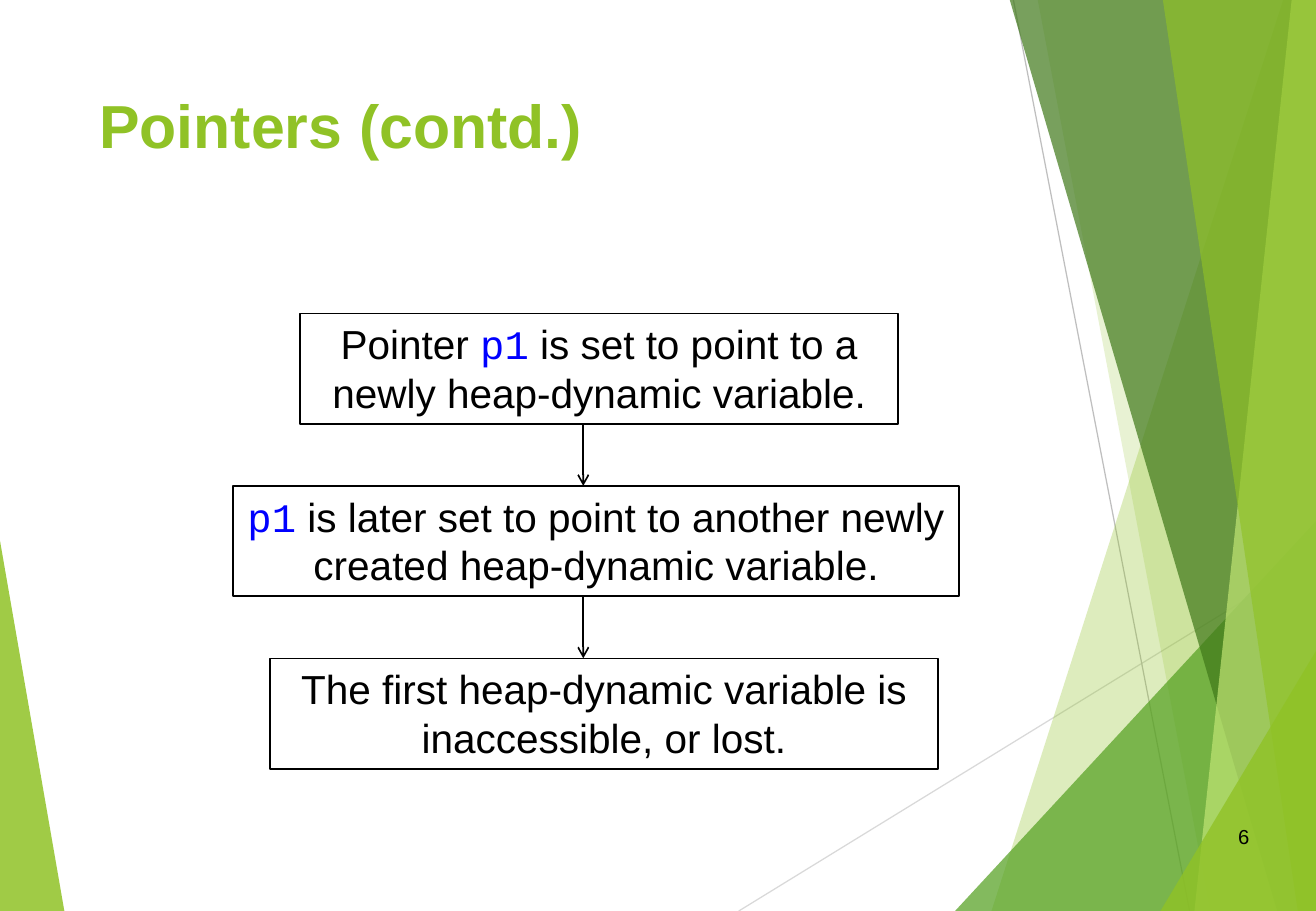
from lxml import etree
from pptx import Presentation
from pptx.dml.color import RGBColor
from pptx.enum.shapes import MSO_CONNECTOR, MSO_SHAPE
from pptx.enum.text import MSO_ANCHOR, MSO_AUTO_SIZE, PP_ALIGN
from pptx.oxml.ns import qn
from pptx.util import Inches, Pt

STRAIGHT = MSO_CONNECTOR.STRAIGHT
RECTANGLE = MSO_SHAPE.RECTANGLE
TOP, MIDDLE = MSO_ANCHOR.TOP, MSO_ANCHOR.MIDDLE
GROW = MSO_AUTO_SIZE.SHAPE_TO_FIT_TEXT
LEFT, CENTER, RIGHT = PP_ALIGN.LEFT, PP_ALIGN.CENTER, PP_ALIGN.RIGHT

LIME = RGBColor(0x90, 0xC2, 0x26)
GREEN = RGBColor(0x54, 0xA0, 0x21)
FOREST = RGBColor(0x3F, 0x78, 0x19)
PALE_LIME = RGBColor(0xC0, 0xE4, 0x74)
GREY = RGBColor(0xBF, 0xBF, 0xBF)
LIGHT_GREY = RGBColor(0xD9, 0xD9, 0xD9)
BLACK = RGBColor(0, 0, 0)
BLUE = RGBColor(0, 0, 0xFF)

WIDTH, HEIGHT = 10.83, 7.5
BODY_FONT, CODE_FONT = "Arial", "Courier New"

TITLE = "Pointers (contd.)"
PAGE_NUMBER = "6"
CODE_WORD = "p1"

# Left, width, text runs
STEPS = [
    (2.47, 4.92, ["Pointer ", CODE_WORD,
                  " is set to point to a newly heap-dynamic variable."]),
    (1.92, 5.97, [CODE_WORD,
                  " is later set to point to another newly created heap-dynamic variable."]),
    (2.22, 5.5, ["The first heap-dynamic variable is inaccessible, or lost."]),
]
STEP_TOP, STEP_HEIGHT, STEP_PITCH = 2.58, 0.91, 1.42
ARROW_X = 4.8

RAYS = [
    ((6.08, HEIGHT), (WIDTH, 4.58), LIGHT_GREY),
    ((8.34, 0), (9.79, HEIGHT), GREY),
]

# Colour, opacity in percent, corners
FACETS = [
    (LIME, 85, [(0, 4.45), (0.53, HEIGHT), (0, HEIGHT)]),
    (LIME, 30, [(10.56, 0), (8.16, HEIGHT), (WIDTH, HEIGHT), (WIDTH, 0)]),
    (LIME, 20, [(8.54, 0), (9.96, HEIGHT), (WIDTH, HEIGHT), (WIDTH, 0)]),
    (GREEN, 72, [(7.86, HEIGHT), (WIDTH, 4.29), (WIDTH, HEIGHT)]),
    (FOREST, 70, [(8.31, 0), (10.51, HEIGHT), (WIDTH, HEIGHT), (WIDTH, 0)]),
    (PALE_LIME, 70, [(10.63, 0), (9.83, HEIGHT), (WIDTH, HEIGHT), (WIDTH, 0)]),
    (LIME, 65, [(9.57, 0), (10.68, HEIGHT), (WIDTH, HEIGHT), (WIDTH, 0)]),
    (LIME, 80, [(9.55, HEIGHT), (WIDTH, 5.36), (WIDTH, HEIGHT)]),
]


def add_facet(page, color, opacity, corners):
    points = [(Inches(x), Inches(y)) for x, y in corners]
    builder = page.shapes.build_freeform(*points[0])
    builder.add_line_segments(points[1:], close=True)
    facet = builder.convert_to_shape()
    facet.shadow.inherit = False
    facet.line.fill.background()
    facet.fill.solid()
    facet.fill.fore_color.rgb = color
    tint = facet.fill._xPr.find(".//" + qn("a:srgbClr"))
    etree.SubElement(tint, qn("a:alpha"), val=str(opacity * 1000))


def add_line(page, start, end, color, weight, arrow=False):
    line = page.shapes.add_connector(
        STRAIGHT, *[Inches(value) for value in (*start, *end)])
    line.line.color.rgb = color
    line.line.width = Pt(weight)
    if arrow:
        etree.SubElement(line.line._get_or_add_ln(), qn("a:tailEnd"), type="arrow")
    etree.SubElement(line._element.spPr, qn("a:effectLst"))


def write(box, texts, size, color, align, anchor, bold=False):
    """Fill the box with one paragraph, setting code words in blue Courier New."""
    frame = box.text_frame
    frame.word_wrap = True
    frame.vertical_anchor = anchor
    para = frame.paragraphs[0]
    para.alignment = align
    for text in texts:
        is_code = text == CODE_WORD
        span = para.add_run()
        span.text = text
        span.font.size = Pt(size)
        span.font.bold = bold
        span.font.name = CODE_FONT if is_code else BODY_FONT
        span.font.color.rgb = BLUE if is_code else color


def add_label(page, area, text, *style, bold=False):
    box = page.shapes.add_textbox(*[Inches(value) for value in area])
    write(box, [text], *style, bold=bold)


def add_step(page, left, top, width, texts):
    box = page.shapes.add_shape(
        RECTANGLE, Inches(left), Inches(top), Inches(width), Inches(STEP_HEIGHT))
    box.shadow.inherit = False
    box.fill.background()
    box.line.color.rgb = BLACK
    box.line.width = Pt(1)
    write(box, texts, 24, BLACK, CENTER, TOP)
    box.text_frame.auto_size = GROW


def main():
    deck = Presentation()
    deck.slide_width, deck.slide_height = Inches(WIDTH), Inches(HEIGHT)
    page = deck.slides.add_slide(deck.slide_layouts[6])

    for start, end, color in RAYS:
        add_line(page, start, end, color, 0.75)
    for facet in FACETS:
        add_facet(page, *facet)

    add_label(page, (0.72, 0.67, 7.52, 1.44), TITLE, 36, LIME, LEFT, TOP, bold=True)
    add_label(page, (9.77, 6.69, 0.61, 0.4), PAGE_NUMBER, 12, BLACK, RIGHT, MIDDLE)

    for index, (left, width, texts) in enumerate(STEPS):
        top = STEP_TOP + index * STEP_PITCH
        add_step(page, left, top, width, texts)
        if index:
            previous_bottom = top - STEP_PITCH + STEP_HEIGHT
            add_line(page, (ARROW_X, previous_bottom), (ARROW_X, top),
                     BLACK, 1, arrow=True)

    deck.save("out.pptx")


if __name__ == "__main__":
    main()
